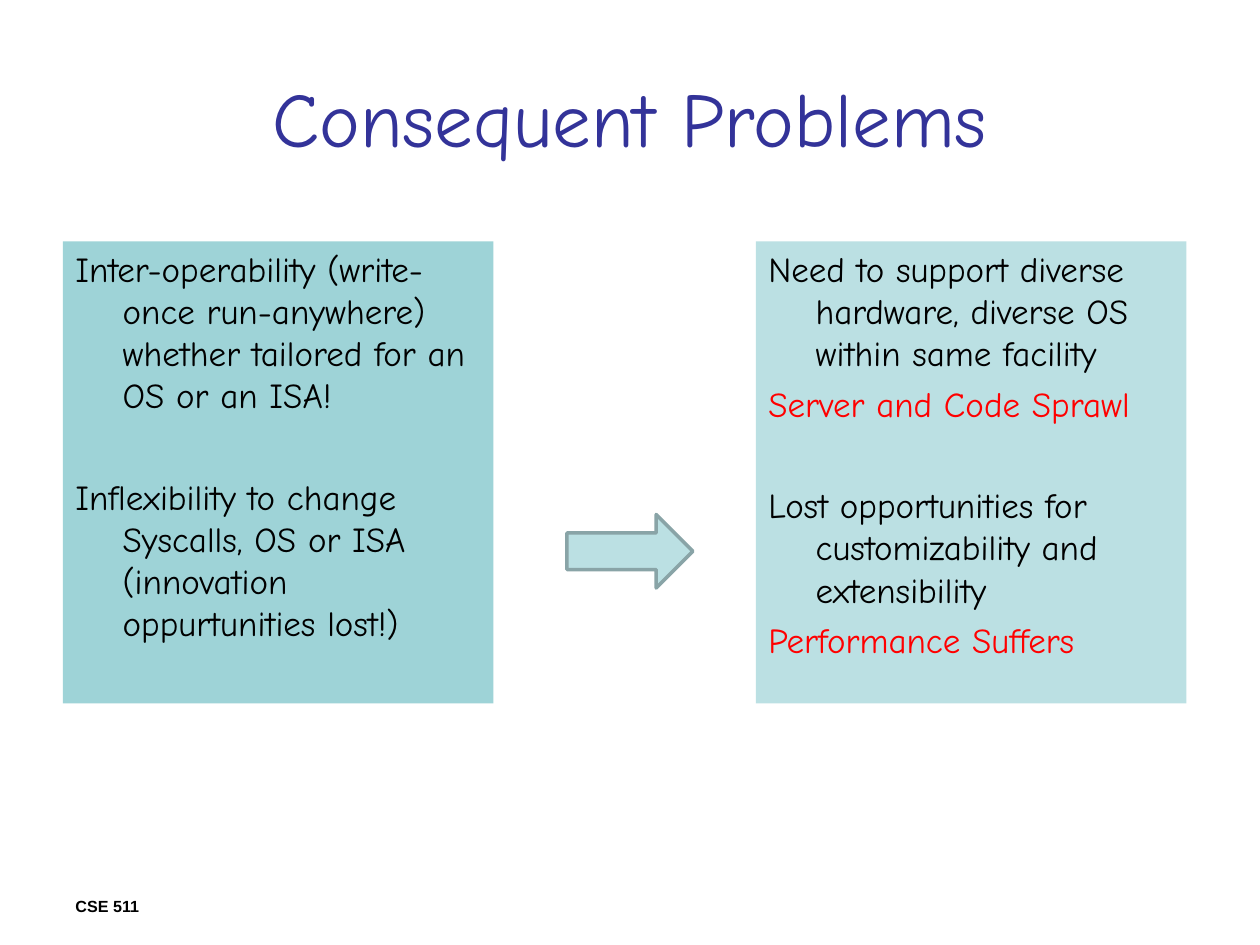
from dataclasses import dataclass

from pptx import Presentation
from pptx.dml.color import RGBColor
from pptx.enum.shapes import MSO_SHAPE
from pptx.enum.text import MSO_ANCHOR, PP_ALIGN
from pptx.shapes.autoshape import Shape
from pptx.slide import Slide
from pptx.text.text import TextFrame, _Paragraph
from pptx.util import Pt

BODY_FONT = "Comic Neue"
BLACK, RED, BLUE = "000000", "FF0000", "333399"
TEAL, PALE_TEAL, ARROW_LINE = "9ED3D7", "BBE0E3", "89A4A7"
HANGING = 27
ITEM_GAP, GROUP_GAP = 5, 34
PANEL_TOP, PANEL_WIDTH, PANEL_HEIGHT = 138, 246, 264


@dataclass
class Item:
    text: str
    color: str = BLACK
    before: float = ITEM_GAP


@dataclass
class Panel:
    left: float
    fill: str
    items: list[Item]


PANELS = [
    Panel(36, TEAL, [
        Item("Inter-operability (write-once run-anywhere) whether tailored for an OS or an ISA!"),
        Item("Inflexibility to change Syscalls, OS or ISA (innovation oppurtunities lost!)",
             before=GROUP_GAP),
    ]),
    Panel(432, PALE_TEAL, [
        Item("Need to support diverse hardware, diverse OS within same facility"),
        Item("Server and Code Sprawl", RED),
        Item("Lost opportunities for customizability and extensibility", before=GROUP_GAP),
        Item("Performance Suffers", RED),
    ]),
]


def rgb(color: str) -> RGBColor:
    return RGBColor.from_string(color)


def add_run(p: _Paragraph, text: str, size: float, color: str,
            font: str = BODY_FONT, bold: bool = False) -> None:
    r = p.add_run()
    r.text = text
    r.font.name = font
    r.font.size = Pt(size)
    r.font.bold = bold
    r.font.color.rgb = rgb(color)


def add_text_box(s: Slide, left: float, top: float, width: float, height: float,
                 anchor: MSO_ANCHOR) -> TextFrame:
    tf = s.shapes.add_textbox(Pt(left), Pt(top), Pt(width), Pt(height)).text_frame
    tf.word_wrap = True
    tf.vertical_anchor = anchor
    return tf


def add_filled(s: Slide, kind: MSO_SHAPE, left: float, top: float,
               width: float, height: float, fill: str) -> Shape:
    sp = s.shapes.add_shape(kind, Pt(left), Pt(top), Pt(width), Pt(height))
    sp.shadow.inherit = False
    sp.fill.solid()
    sp.fill.fore_color.rgb = rgb(fill)
    sp.line.fill.background()
    return sp


def add_panel(s: Slide, panel: Panel) -> None:
    sp = add_filled(s, MSO_SHAPE.RECTANGLE, panel.left, PANEL_TOP,
                    PANEL_WIDTH, PANEL_HEIGHT, panel.fill)
    tf = sp.text_frame
    tf.word_wrap = True
    tf.vertical_anchor = MSO_ANCHOR.TOP
    for i, item in enumerate(panel.items):
        p = tf.add_paragraph() if i else tf.paragraphs[0]
        p.alignment = PP_ALIGN.LEFT
        p.space_before = Pt(item.before)
        pPr = p._p.get_or_add_pPr()
        pPr.set("marL", str(Pt(HANGING)))
        pPr.set("indent", str(-Pt(HANGING)))
        add_run(p, item.text, 20, item.color)


def add_arrow(s: Slide) -> None:
    sp = add_filled(s, MSO_SHAPE.RIGHT_ARROW, 324, 294, 72, 42, PALE_TEAL)
    sp.line.color.rgb = rgb(ARROW_LINE)
    sp.line.width = Pt(2)


def main() -> None:
    prs = Presentation()
    prs.slide_width, prs.slide_height = Pt(720), Pt(540)
    s = prs.slides.add_slide(prs.slide_layouts[6])

    p = add_text_box(s, 36, 21.6, 648, 90, MSO_ANCHOR.MIDDLE).paragraphs[0]
    p.alignment = PP_ALIGN.CENTER
    add_run(p, "Consequent Problems", 44, BLUE)

    for panel in PANELS:
        add_panel(s, panel)
    add_arrow(s)

    p = add_text_box(s, 36, 510, 168, 18, MSO_ANCHOR.TOP).paragraphs[0]
    p.line_spacing = 0.9
    add_run(p, "CSE 511", 9.2, BLACK, "Arial", True)

    prs.save("out.pptx")


if __name__ == "__main__":
    main()
